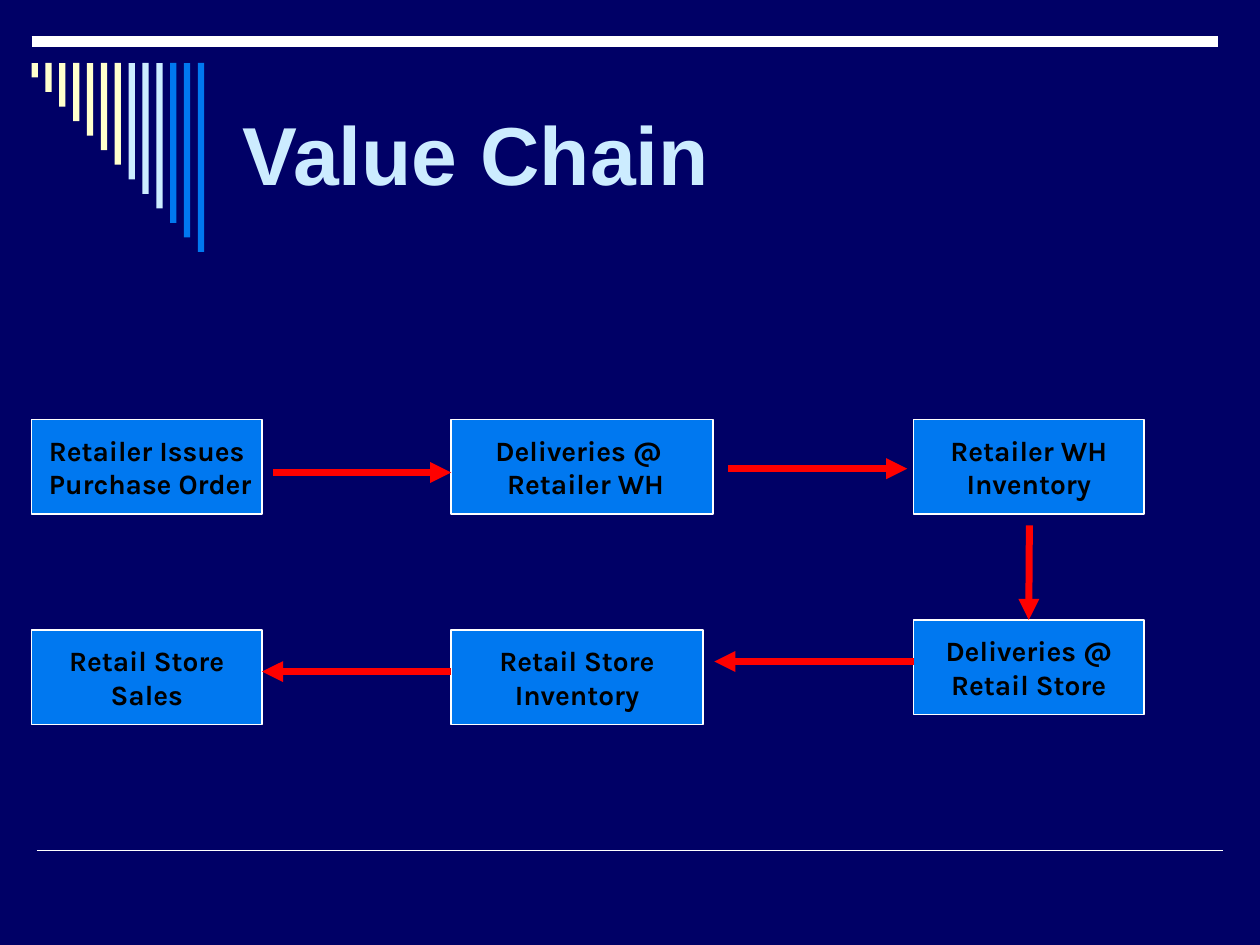
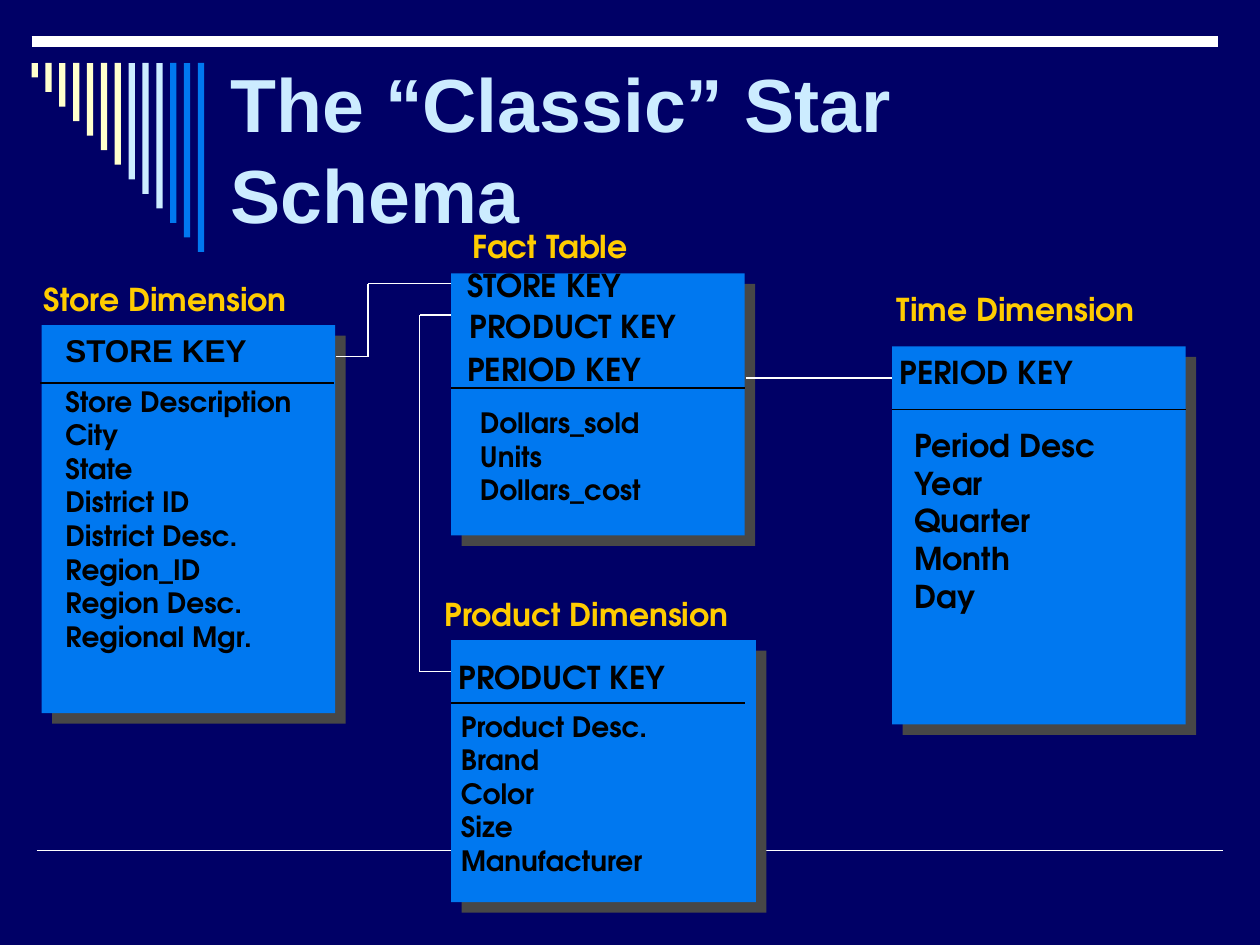
from dataclasses import dataclass

from lxml.etree import SubElement as Sub
from pptx import Presentation
from pptx.dml.color import RGBColor as RGB
from pptx.enum.shapes import MSO_CONNECTOR as LINK, MSO_SHAPE as SHAPE
from pptx.enum.text import MSO_ANCHOR as ANCHOR, MSO_AUTO_SIZE as FIT, PP_ALIGN as ALIGN
from pptx.oxml.ns import qn
from pptx.util import Inches, Pt


@dataclass(frozen=True)
class Theme:
    navy: RGB = RGB(0x00, 0x00, 0x66)
    blue: RGB = RGB(0x00, 0x78, 0xF0)
    pale: RGB = RGB(0xCC, 0xEC, 0xFF)
    cream: RGB = RGB(0xFF, 0xFF, 0xCC)
    gold: RGB = RGB(0xFF, 0xCC, 0x00)
    red: RGB = RGB(0xFF, 0x00, 0x00)
    gray: RGB = RGB(0x47, 0x47, 0x47)
    white: RGB = RGB(0xFF, 0xFF, 0xFF)
    black: RGB = RGB(0x00, 0x00, 0x00)
    head: str = "Arial"
    flow: str = "Karla"
    body: str = "TeX Gyre Adventor"
    key: int = 18
    text: int = 16


theme = Theme()


def write(frame, lines, size, font, color, align=ALIGN.LEFT):
    """Put each line in its own bold paragraph."""
    for n, line in enumerate(lines):
        para = frame.add_paragraph() if n else frame.paragraphs[0]
        para.alignment = align
        run = para.add_run()
        run.text = line
        run.font.size = Pt(size)
        run.font.name = font
        run.font.bold = True
        run.font.color.rgb = color


def rule(slide, start, end, color=theme.white, width=1):
    """Draw a straight line without a shadow."""
    link = slide.shapes.add_connector(
        LINK.STRAIGHT, *(Inches(v) for v in (*start, *end)))
    link.line.color.rgb = color
    link.line.width = Pt(width)
    Sub(link._element.spPr, qn("a:effectLst"))
    return link


deck = Presentation()
deck.slide_width, deck.slide_height = Inches(10), Inches(7.5)
back = deck.slide_master.background.fill
back.solid()
back.fore_color.rgb = theme.navy

# Shared frame: rules, stepped bars and title
titles = [
    ("Value Chain", (1.83, 0.5, 7.67, 1.42), 47, ANCHOR.MIDDLE, (0.1, 0.05)),
    ("The “Classic” Star Schema", (1.83, 0.58, 5.83, 1.31), 43, ANCHOR.BOTTOM, (0, 0)),
]
bars = [theme.cream] * 7 + [theme.pale] * 3 + [theme.blue] * 3
for title, area, size, anchor, (side, edge) in titles:
    slide = deck.slides.add_slide(deck.slide_layouts[6])
    rule(slide, (0.29, 6.75), (9.71, 6.75))
    rule(slide, (0.25, 0.33), (9.67, 0.33), width=6)
    for n, color in enumerate(bars):
        bar = slide.shapes.add_shape(
            SHAPE.RECTANGLE, Inches(0.25 + 0.11 * n), Inches(0.5),
            Inches(0.05), Inches(1.5 * (n + 1) / len(bars)))
        bar.shadow.inherit = False
        bar.fill.solid()
        bar.fill.fore_color.rgb = color
        bar.line.fill.background()
    frame = slide.shapes.add_textbox(*(Inches(v) for v in area)).text_frame
    frame.word_wrap = True
    frame.vertical_anchor = anchor
    frame.margin_left = frame.margin_right = Inches(side)
    frame.margin_top = frame.margin_bottom = Inches(edge)
    write(frame, [title], size, theme.head, theme.pale)

chain, star = deck.slides

# Value chain: steps and arrows
steps = [
    (0.25, 3.33, 1.83, ["Retailer Issues", " Purchase Order"]),
    (3.58, 3.33, 2.08, ["Deliveries @ ", " Retailer WH"]),
    (7.25, 3.33, 1.83, ["Retailer WH", "Inventory"]),
    (7.25, 4.92, 1.83, ["Deliveries @", "Retail Store"]),
    (3.58, 5, 2, ["Retail Store", "Inventory"]),
    (0.25, 5, 1.83, ["Retail Store", "Sales"]),
]
boxes = []
for left, top, width, lines in steps:
    box = chain.shapes.add_shape(
        SHAPE.RECTANGLE, Inches(left), Inches(top), Inches(width), Inches(0.75))
    box.shadow.inherit = False
    box.fill.solid()
    box.fill.fore_color.rgb = theme.blue
    box.line.color.rgb = theme.white
    box.line.width = Pt(0.75)
    box.text_frame.word_wrap = False
    box.text_frame.vertical_anchor = ANCHOR.MIDDLE
    write(box.text_frame, lines, theme.text, theme.flow, theme.black, ALIGN.CENTER)
    boxes.append(box)

arrows = [
    ((2.17, 3.75), (3.58, 3.75)),
    ((5.78, 3.72), (7.2, 3.72)),
    ((8.17, 4.17), (8.17, 4.92)),
    ((7.25, 5.25), (5.67, 5.25)),
    ((3.58, 5.33), (2.08, 5.33)),
]
for n, (start, end) in enumerate(arrows):
    arrow = rule(chain, start, end, theme.red, 4)
    Sub(arrow.line._get_or_add_ln(), qn("a:tailEnd"), type="triangle")
    if n == 2:
        arrow.end_connect(boxes[3], 0)

# Star schema: table cards with hard shadows
cards = [
    (0.33, 2.58, 2.33, 3.08),
    (3.58, 5.08, 2.42, 2.08),
    (3.58, 2.17, 2.33, 2.08),
    (7.08, 2.75, 2.33, 3),
]
for area in cards:
    card = star.shapes.add_shape(SHAPE.RECTANGLE, *(Inches(v) for v in area))
    card.fill.solid()
    card.fill.fore_color.rgb = theme.blue
    card.line.fill.background()
    card.shadow.inherit = False
    cast = Sub(card._element.spPr.find(qn("a:effectLst")), qn("a:outerShdw"),
               blurRad="0", dist=str(Pt(8.5)), dir=str(45 * 60000),
               algn="tl", rotWithShape="0")
    Sub(cast, qn("a:srgbClr"), val=str(theme.gray))

# Dividers under the keys
for left, top in [(0.32, 3.04), (3.58, 5.58), (3.58, 3.08), (7.08, 3.25)]:
    rule(star, (left, top), (left + 2.33, top), theme.black)

# Links between keys, each a run of points
links = [
    [(5.92, 3), (7.08, 3)],
    [(3.58, 2.5), (3.33, 2.5), (3.33, 5.33), (3.58, 5.33)],
    [(3.58, 2.25), (2.92, 2.25), (2.92, 2.83), (2.67, 2.83)],
]
for points in links:
    for start, end in zip(points, points[1:]):
        rule(star, start, end)

# Names, keys and fields
names = [
    (0.25, 2.17, 2.43, "Store Dimension"),
    (7.02, 2.25, 2.22, "Time Dimension"),
    (3.43, 4.67, 2.59, "Product Dimension"),
    (3.65, 1.75, 1.47, "Fact Table"),
]
keys = [
    (0.42, 2.58, 1.65, "STORE KEY", theme.head),
    (3.61, 2.06, 1.52, "STORE KEY", theme.body),
    (3.63, 2.39, 1.93, "PRODUCT KEY", theme.body),
    (3.61, 2.73, 1.67, "PERIOD KEY", theme.body),
    (3.54, 5.17, 1.93, "PRODUCT KEY", theme.body),
    (7.04, 2.75, 1.67, "PERIOD KEY", theme.body),
]
fields = [
    (0.42, 3, 2.35, 2.5, theme.text,
     ["Store Description", "City", "State", "District ID", "District Desc.",
      "Region_ID", "Region Desc.", "Regional Mgr."]),
    (3.71, 3.17, 1.53, 0.9, theme.text, ["Dollars_sold", "Units", "Dollars_cost"]),
    (3.56, 5.58, 1.74, 1.7, theme.text,
     ["Product Desc.", "Brand", "Color", "Size", "Manufacturer"]),
    (7.16, 3.33, 1.66, 1.9, theme.key,
     ["Period Desc", "Year", "Quarter", "Month", "Day"]),
]
labels = [((x, y, w, 0.4), [name], theme.key, theme.body, theme.gold)
          for x, y, w, name in names]
labels += [((x, y, w, 0.4), [key], theme.key, font, theme.black)
           for x, y, w, key, font in keys]
labels += [((x, y, w, h), lines, size, theme.body, theme.black)
           for x, y, w, h, size, lines in fields]
for area, lines, size, font, color in labels:
    frame = star.shapes.add_textbox(*(Inches(v) for v in area)).text_frame
    frame.word_wrap = False
    frame.auto_size = FIT.SHAPE_TO_FIT_TEXT
    # Left-aligned unwrapped text keeps to the left edge of its box
    write(frame, lines, size, font, color)
    if area[2] in (2.43, 2.35):
        frame.word_wrap = True

deck.save("out.pptx")
